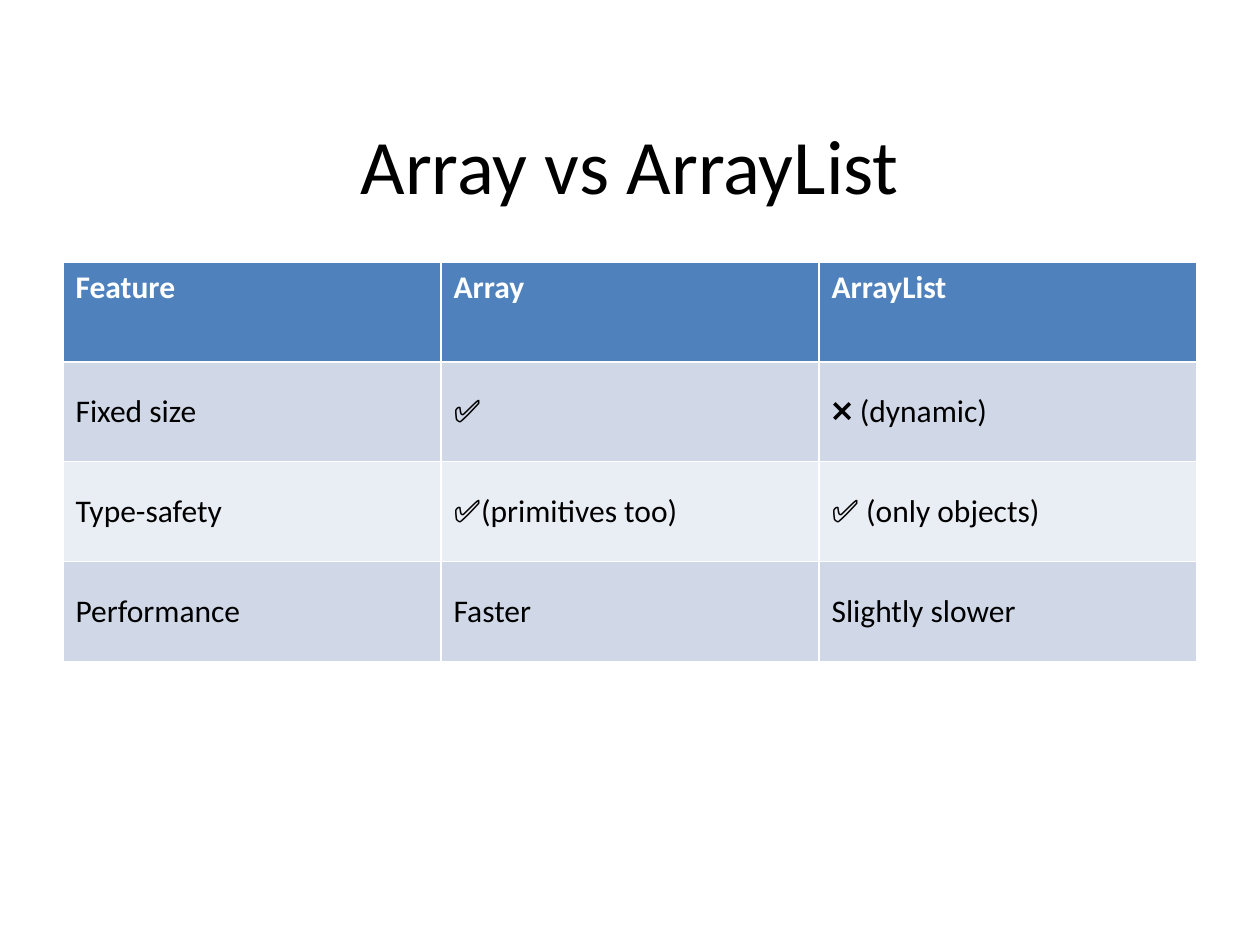
from dataclasses import dataclass

from pptx import Presentation
from pptx.dml.color import RGBColor
from pptx.enum.text import MSO_ANCHOR, PP_ALIGN
from pptx.util import Inches, Pt

TOP, MIDDLE = MSO_ANCHOR.TOP, MSO_ANCHOR.MIDDLE
CENTER = PP_ALIGN.CENTER
FONT = "Calibri"
BLANK = 6
COLORS = {
    "black": "000000",
    "white": "FFFFFF",
    "head": "4F81BD",
    "dark": "D0D8E8",
    "light": "E9EDF4",
}


@dataclass
class Row:
    cells: tuple[str, ...]
    fill: str
    ink: str = "black"
    bold: bool = False
    anchor: MSO_ANCHOR = MIDDLE


ROWS = [
    Row(("Feature", "Array", "ArrayList"), "head", "white", True, TOP),
    Row(("Fixed size", "✅", "❌ (dynamic)"), "dark"),
    Row(("Type-safety", "✅(primitives too)", "✅ (only objects)"), "light"),
    Row(("Performance", "Faster", "Slightly slower"), "dark"),
]


def color(name: str) -> RGBColor:
    return RGBColor.from_string(COLORS[name])


def write(frame, text: str, size: int, ink: str, bold: bool = False):
    para = frame.paragraphs[0]
    para.text = text
    font = para.font
    font.name, font.size, font.bold = FONT, Pt(size), bold
    font.color.rgb = color(ink)
    return para


def add_title(slide, text: str) -> None:
    box = slide.shapes.add_textbox(Inches(0.5), Inches(0.67), Inches(9), Inches(1.25))
    frame = box.text_frame
    frame.word_wrap = True
    frame.vertical_anchor = MIDDLE
    write(frame, text, 44, "black").alignment = CENTER


def add_grid(slide, rows: list[Row]) -> None:
    table = slide.shapes.add_table(
        len(rows), len(rows[0].cells),
        Inches(0.5), Inches(2.08), Inches(9), Inches(3.17),
    ).table
    for line, row in zip(table.rows, rows):
        for cell, text in zip(line.cells, row.cells):
            cell.fill.solid()
            cell.fill.fore_color.rgb = color(row.fill)
            cell.vertical_anchor = row.anchor
            write(cell.text_frame, text, 18, row.ink, row.bold)


def main() -> None:
    """Build the slide comparing Array with ArrayList."""
    deck = Presentation()
    deck.slide_width, deck.slide_height = Inches(10), Inches(7.5)
    slide = deck.slides.add_slide(deck.slide_layouts[BLANK])
    add_title(slide, "Array vs ArrayList")
    add_grid(slide, ROWS)
    deck.save("out.pptx")


if __name__ == "__main__":
    main()
